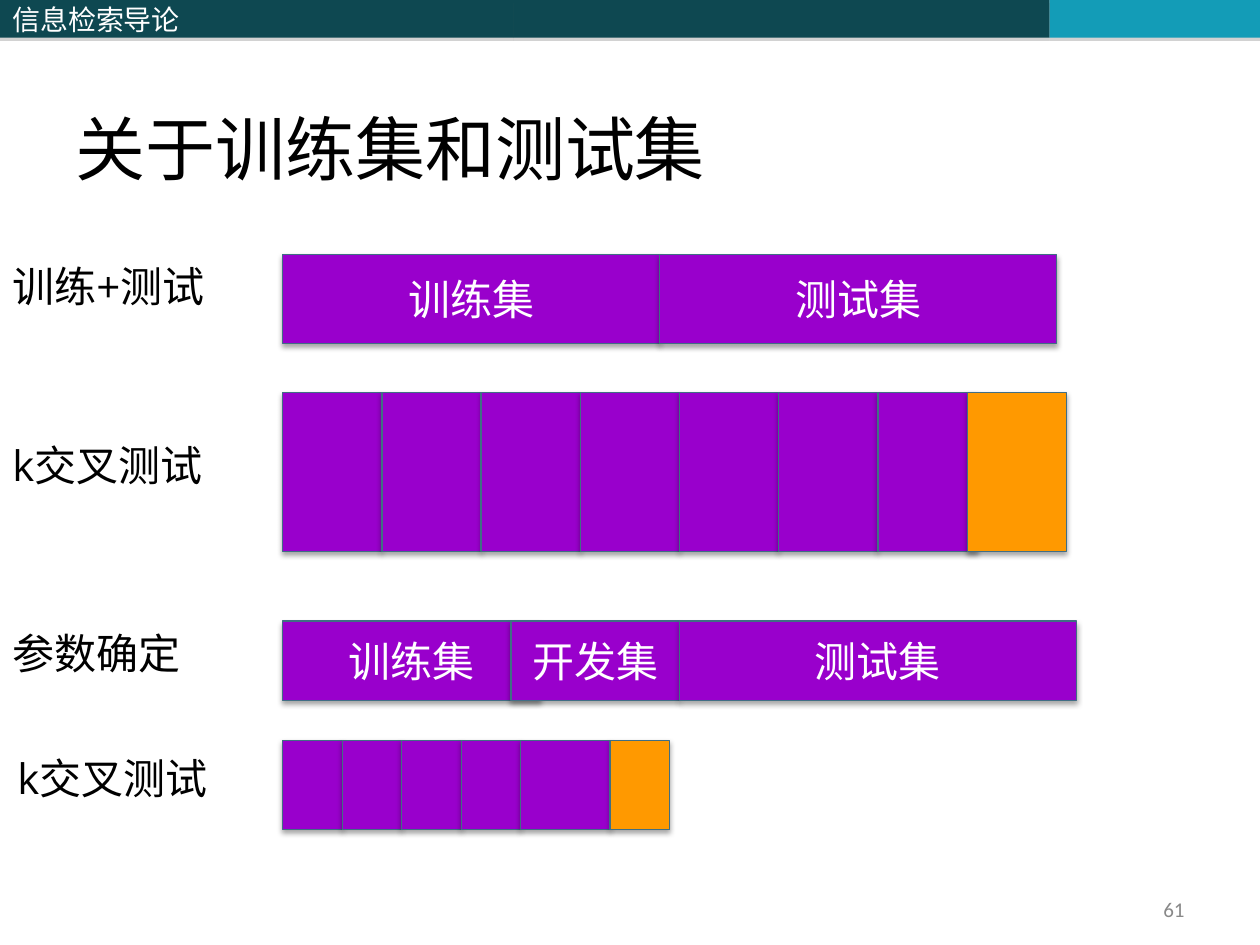
from lxml import etree
from pptx import Presentation
from pptx.dml.color import RGBColor
from pptx.enum.shapes import MSO_SHAPE
from pptx.enum.text import MSO_ANCHOR, MSO_AUTO_SIZE, PP_ALIGN
from pptx.oxml.ns import qn
from pptx.util import Cm, Pt

RECTANGLE = MSO_SHAPE.RECTANGLE
TOP, MIDDLE, BOTTOM = MSO_ANCHOR.TOP, MSO_ANCHOR.MIDDLE, MSO_ANCHOR.BOTTOM
LEFT, CENTER, RIGHT = PP_ALIGN.LEFT, PP_ALIGN.CENTER, PP_ALIGN.RIGHT
NO_AUTOFIT = MSO_AUTO_SIZE.NONE

TITLE_ONLY = 5
CHINESE_FONT = "Noto Sans CJK SC"
PURPLE, ORANGE, OUTLINE = "9900CC", "FF9900", "406E84"
TEAL, CYAN = "0E4851", "139CB7"
BLACK, WHITE, GREY = "000000", "FFFFFF", "898989"
BAR_LEFT = 5.7


def color(value):
    return RGBColor.from_string(value)


def write(box, text, size, font, ink, align=LEFT, anchor=TOP):
    frame = box.text_frame
    frame.word_wrap = True
    frame.auto_size = NO_AUTOFIT
    frame.vertical_anchor = anchor
    para = frame.paragraphs[0]
    para.alignment = align
    span = para.add_run()
    span.text = text
    span.font.size = Pt(size)
    span.font.name = font
    span.font.color.rgb = color(ink)
    properties = span.font.fill._xPr
    etree.SubElement(properties, qn("a:ea"), typeface=CHINESE_FONT)


def add_shadow(box, tint, blur):
    """Drop a 35 % shadow straight down; blur is in points."""
    box.shadow.inherit = False
    effects = box._element.spPr.find(qn("a:effectLst"))
    shadow = etree.SubElement(
        effects, qn("a:outerShdw"), blurRad=str(Pt(blur)),
        dist=str(Pt(1.8)), dir="5400000", rotWithShape="0")
    tone = etree.SubElement(shadow, qn("a:srgbClr"), val=tint)
    etree.SubElement(tone, qn("a:alpha"), val="35000")


def add_block(page, left, top, width, height, fill):
    box = page.shapes.add_shape(
        RECTANGLE, Cm(left), Cm(top), Cm(width), Cm(height))
    box.fill.solid()
    box.fill.fore_color.rgb = color(fill)
    return box


def add_header(page):
    left = 0
    for width, fill, text in ((10.36, TEAL, "信息检索导论"),
                              (10.8, TEAL, ""), (4.24, CYAN, "")):
        box = add_block(page, left, 0, width, 0.76, fill)
        box.line.fill.background()
        add_shadow(box, "808080", 0)
        if text:
            write(box, text, 16, CHINESE_FONT, WHITE, anchor=MIDDLE)
        left += width


def add_bar(page, top, height, parts):
    """Draw one data set; parts are (offset, width, fill, text)."""
    for offset, width, fill, text in parts:
        box = add_block(page, BAR_LEFT + offset, top, width, height, fill)
        box.line.color.rgb = color(OUTLINE)
        box.line.width = Pt(0.75)
        add_shadow(box, BLACK, 3.1)
        if text:
            write(box, text, 24, "Calibri", WHITE, CENTER, MIDDLE)


def add_text(page, left, top, width, height, text, *style):
    box = page.shapes.add_textbox(Cm(left), Cm(top), Cm(width), Cm(height))
    write(box, text, *style)


def add_title(page, text):
    title = page.shapes.title
    title.left, title.top = Cm(1.27), Cm(0.76)
    title.width, title.height = Cm(22.86), Cm(3.18)
    write(title, text, 40, "Times New Roman", BLACK, LEFT, BOTTOM)


def folds(count, width):
    return [(i * width, width, PURPLE, "") for i in range(count)]


def main():
    deck = Presentation()
    deck.slide_width, deck.slide_height = Cm(25.4), Cm(19.05)
    page = deck.slides.add_slide(deck.slide_layouts[TITLE_ONLY])

    add_header(page)
    add_title(page, "关于训练集和测试集")
    add_text(page, 18.2, 17.98, 5.93, 0.7, "61", 12, "Calibri", GREY,
             RIGHT, MIDDLE)

    add_bar(page, 5.13, 1.8, [(0, 7.6, PURPLE, "训练集"),
                              (7.6, 8, PURPLE, "测试集")])
    add_bar(page, 12.52, 1.6, [(0, 5.2, PURPLE, "训练集"),
                               (4.6, 3.4, PURPLE, "开发集"),
                               (8, 8, PURPLE, "测试集")])
    add_bar(page, 7.92, 3.2, folds(7, 2) + [(13.8, 2, ORANGE, "")])
    add_bar(page, 14.93, 1.8, folds(4, 1.2) + [(4.8, 1.8, PURPLE, ""),
                                               (6.6, 1.2, ORANGE, "")])

    for left, top, text in ((0, 5.13, "训练+测试"), (0, 8.73, "k交叉测试"),
                            (0, 12.52, "参数确定"), (0.1, 15.04, "k交叉测试")):
        add_text(page, left, top, 6.6, 1.27, text, 24, "Open Sans", BLACK)

    deck.save("out.pptx")


if __name__ == "__main__":
    main()
